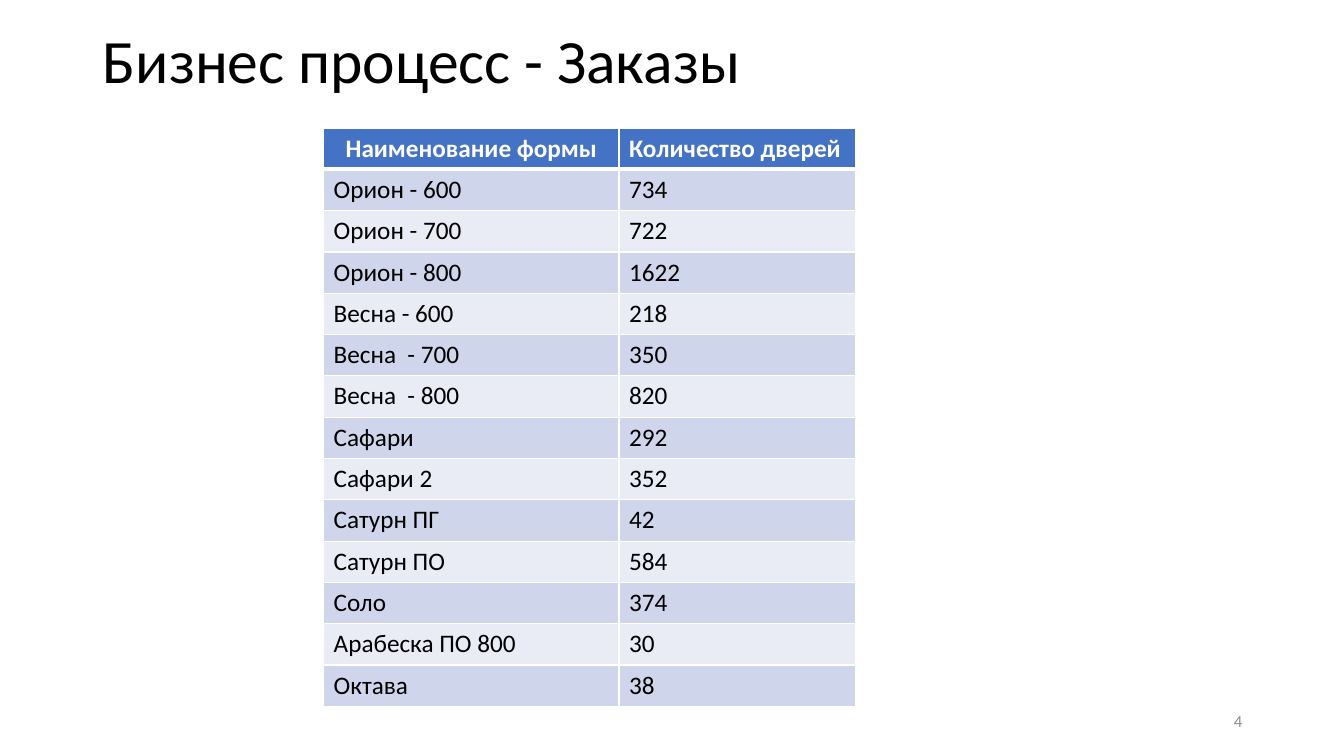
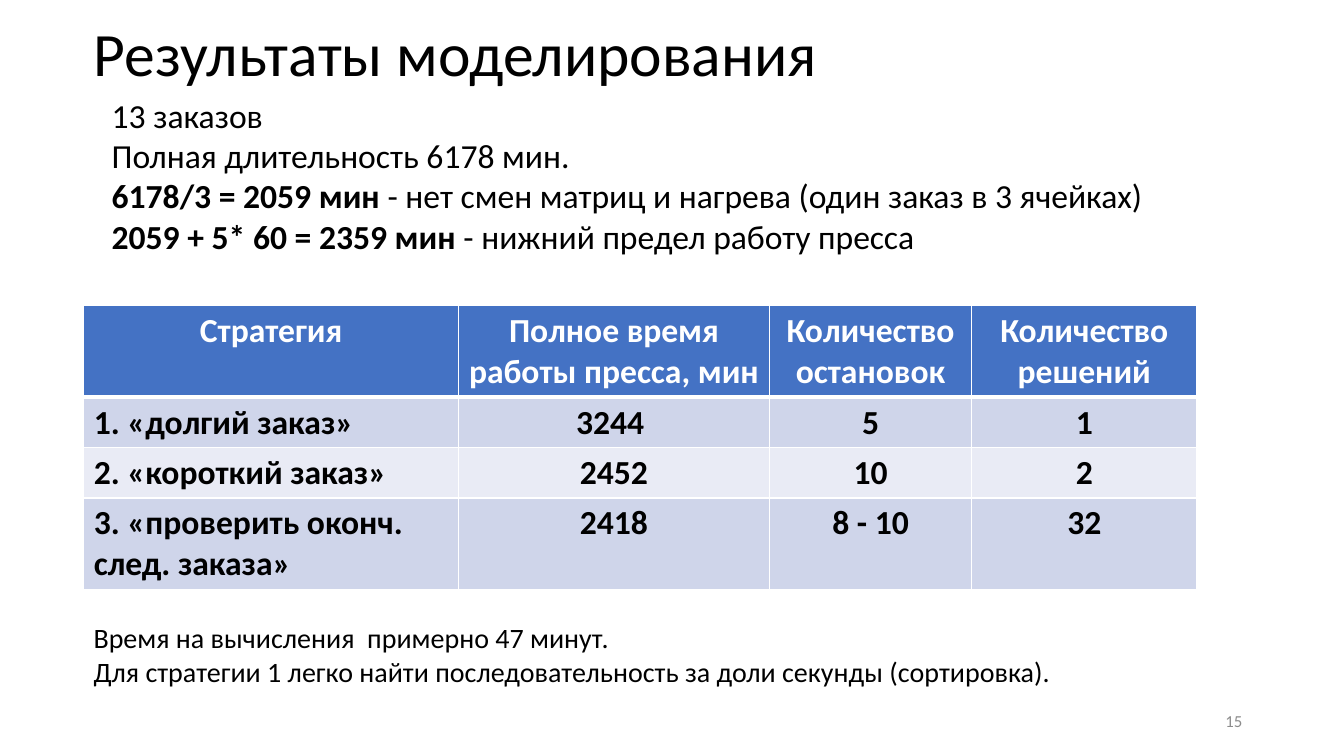
from lxml.etree import SubElement
from pptx import Presentation
from pptx.dml.color import RGBColor
from pptx.enum.text import MSO_ANCHOR, PP_ALIGN
from pptx.oxml.ns import qn
from pptx.util import Inches, Pt

FONT = "Calibri"
BLACK = RGBColor(0x00, 0x00, 0x00)
WHITE = RGBColor(0xFF, 0xFF, 0xFF)
GREY = RGBColor(0x8C, 0x8C, 0x8C)
HEADER_BLUE = RGBColor(0x44, 0x72, 0xC4)
BANDS = [RGBColor(0xE9, 0xEB, 0xF5), RGBColor(0xCF, 0xD5, 0xEA)]

LEFT, CENTER, RIGHT = PP_ALIGN.LEFT, PP_ALIGN.CENTER, PP_ALIGN.RIGHT
TITLE_STYLE = dict(size=44, anchor=MSO_ANCHOR.MIDDLE, line_spacing=0.9)
NUMBER_STYLE = dict(size=12, color=GREY, align=RIGHT, anchor=MSO_ANCHOR.MIDDLE)
NUMBER_AT = (9.42, 6.95, 3, 0.4)


def write_text(frame, lines, size=18, color=BLACK, bold=False, align=LEFT,
               anchor=MSO_ANCHOR.TOP, line_spacing=None):
    """Write one paragraph per line; a line is a string or (bold lead, rest)."""
    frame.word_wrap = True
    frame.vertical_anchor = anchor
    for index, line in enumerate(lines):
        paragraph = frame.add_paragraph() if index else frame.paragraphs[0]
        paragraph.alignment = align
        paragraph.line_spacing = line_spacing
        runs = [(line, bold)] if isinstance(line, str) else zip(line, (True, False))
        for text, is_bold in runs:
            run = paragraph.add_run()
            run.text = text
            run.font.name = FONT
            run.font.size = Pt(size)
            run.font.bold = is_bold
            run.font.color.rgb = color


def add_border(cell, side, points):
    line = SubElement(cell._tc.get_or_add_tcPr(), qn(f"a:ln{side}"), w=str(Pt(points)))
    fill = SubElement(line, qn("a:solidFill"))
    SubElement(fill, qn("a:srgbClr"), val=str(WHITE))


prs = Presentation()
prs.slide_width, prs.slide_height = Inches(13.33), Inches(7.5)
orders, results = [prs.slides.add_slide(prs.slide_layouts[6]) for _ in range(2)]

# Table contents
order_rows = [
    ("Наименование формы", "Количество дверей"),
    ("Орион - 600", "734"),
    ("Орион - 700", "722"),
    ("Орион - 800", "1622"),
    ("Весна - 600", "218"),
    ("Весна  - 700", "350"),
    ("Весна  - 800", "820"),
    ("Сафари", "292"),
    ("Сафари 2", "352"),
    ("Сатурн ПГ", "42"),
    ("Сатурн ПО", "584"),
    ("Соло", "374"),
    ("Арабеска ПО 800", "30"),
    ("Октава", "38"),
]
strategy_rows = [
    ("Стратегия", "Полное время работы пресса, мин",
     "Количество остановок", "Количество решений"),
    ("1. «долгий заказ»", "3244 ", "5", "1"),
    ("2. «короткий заказ»", "2452", "10", "2"),
    ("3. «проверить оконч. след. заказа»", "2418", "8 - 10", "32"),
]

# Tables: slide, left, top, column widths, row heights, rows,
# text size, bold body, header alignments, body alignments
tables = [
    (orders, 3.21, 1.27, [2.93, 2.35], [0.41] * len(order_rows), order_rows,
     18, False, [CENTER, LEFT], [LEFT, LEFT]),
    (results, 0.83, 3.03, [3.72, 3.08, 2.01, 2.23], [0.91, 0.5, 0.5, 0.91], strategy_rows,
     24, True, [CENTER] * 4, [LEFT] + [CENTER] * 3),
]
for slide, left, top, widths, heights, rows, size, bold, header_align, body_align in tables:
    table = slide.shapes.add_table(
        len(rows), len(widths), Inches(left), Inches(top),
        Inches(sum(widths)), Inches(sum(heights))).table
    for column, width in zip(table.columns, widths):
        column.width = Inches(width)
    for r, (row, height) in enumerate(zip(rows, heights)):
        table.rows[r].height = Inches(height)
        is_header = r == 0
        for c, text in enumerate(row):
            cell = table.cell(r, c)
            for side in "LRTB":
                under_header = (r, side) in [(0, "B"), (1, "T")]
                add_border(cell, side, 3 if under_header else 1)
            cell.fill.solid()
            cell.fill.fore_color.rgb = HEADER_BLUE if is_header else BANDS[r % 2]
            write_text(cell.text_frame, [text], size=size, bold=is_header or bold,
                       color=WHITE if is_header else BLACK,
                       align=(header_align if is_header else body_align)[c])

# Titles, slide numbers and notes around the strategy table
text_boxes = [
    (orders, (0.92, 0.15, 11.5, 0.96), ["Бизнес процесс - Заказы"], TITLE_STYLE),
    (orders, NUMBER_AT, ["4"], NUMBER_STYLE),
    (results, (0.83, 0.07, 11.5, 0.99), ["Результаты моделирования"], TITLE_STYLE),
    (results, NUMBER_AT, ["15"], NUMBER_STYLE),
    (results, (1.01, 0.89, 10.5, 1.72), [
        "13 заказов",
        "Полная длительность 6178 мин.",
        ("6178/3 = 2059 мин ", "- нет смен матриц и нагрева (один заказ в 3 ячейках)"),
        ("2059 + 5* 60 = 2359 мин ", "- нижний предел работу пресса"),
    ], dict(size=24)),
    (results, (0.83, 6.11, 11.5, 0.77), [
        "Время на вычисления  примерно 47 минут.",
        "Для стратегии 1 легко найти последовательность за доли секунды (сортировка).",
    ], dict(size=20)),
]
for slide, position, lines, style in text_boxes:
    box = slide.shapes.add_textbox(*map(Inches, position))
    write_text(box.text_frame, lines, **style)

prs.save("out.pptx")
